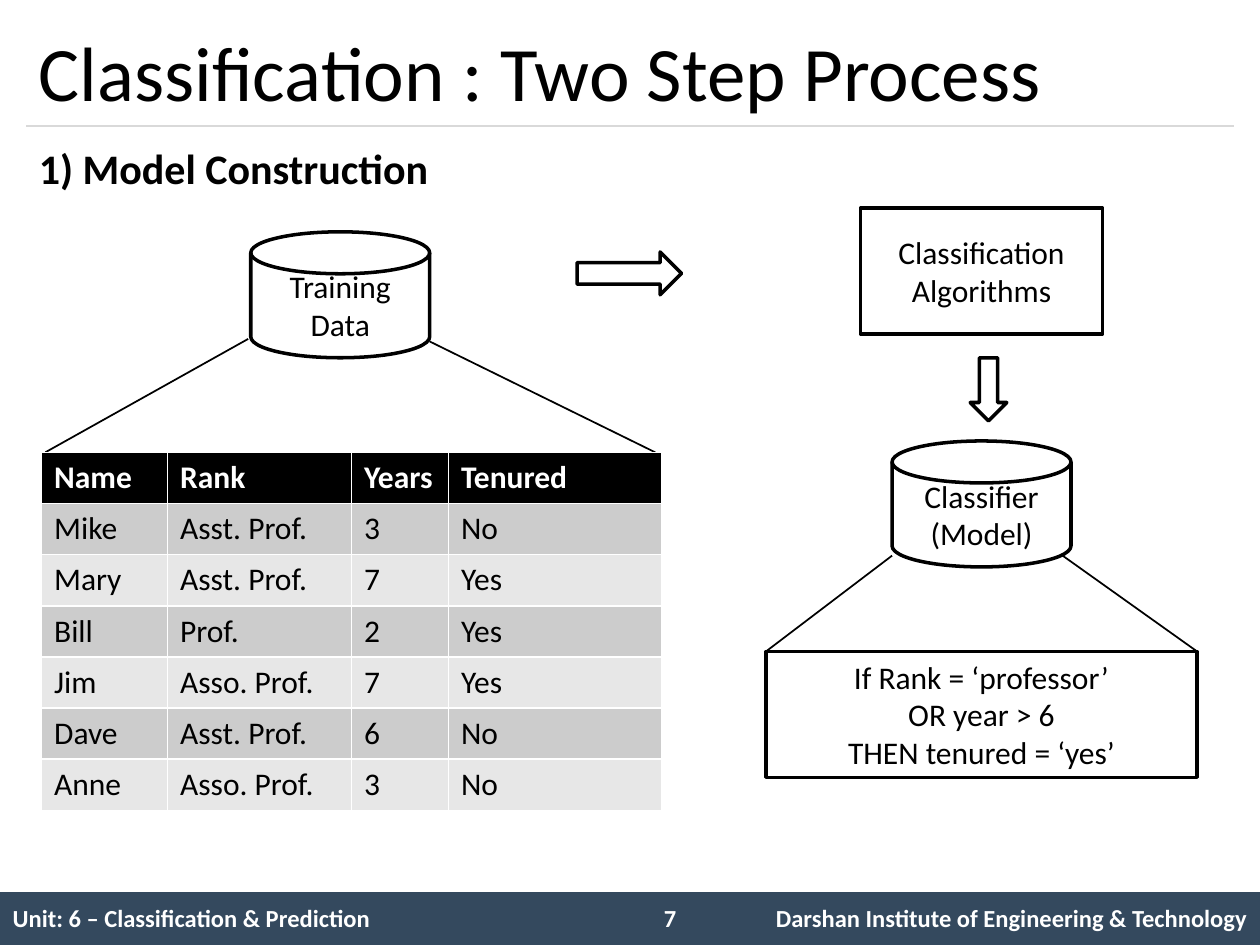
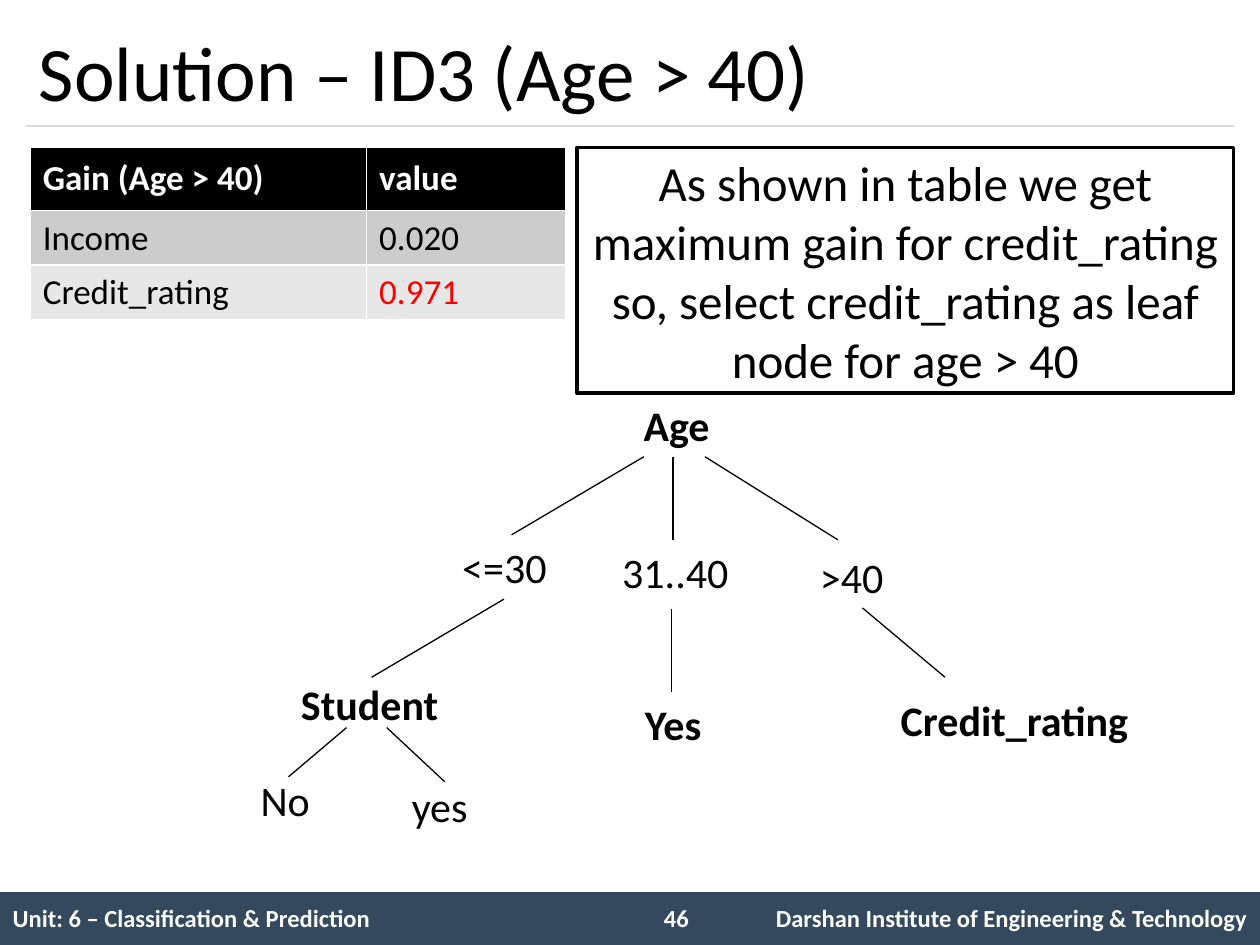
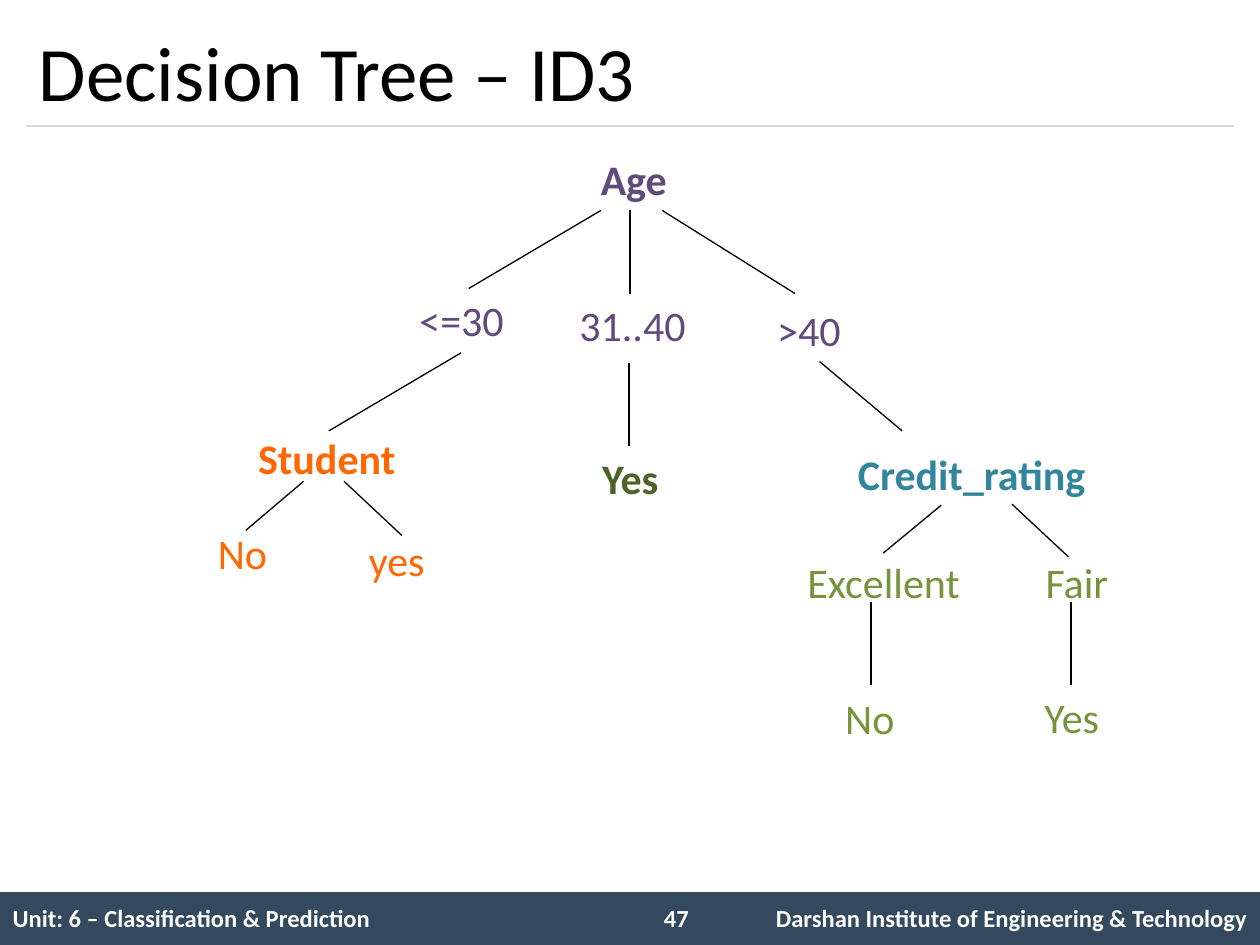
from lxml.etree import SubElement
from pptx import Presentation
from pptx.dml.color import RGBColor
from pptx.enum.shapes import MSO_CONNECTOR, MSO_SHAPE
from pptx.enum.text import MSO_ANCHOR, MSO_AUTO_SIZE, PP_ALIGN
from pptx.oxml.ns import qn
from pptx.util import Inches, Pt

COLORS = {
    "ink": "000000", "paper": "FFFFFF", "band": "34495E", "rule": "D9D9D9",
    "dark row": "CCCCCC", "light row": "E7E7E7", "best": "FF0000",
    "age": "604A7B", "student": "FF6702", "middle": "4F6228",
    "credit": "31859C", "rating": "77933C",
}
RGB = {part: RGBColor.from_string(value) for part, value in COLORS.items()}
NO_GRID_STYLE = "{2D5ABB26-0587-4C30-8999-92F81FD0307C}"

deck = Presentation()
deck.slide_width, deck.slide_height = Inches(10), Inches(7.5)
# The slide is a grid of 100 columns by 75 rows.
COL, ROW = deck.slide_width // 100, deck.slide_height // 75


def place(*cells):
    """Turn columns and rows, taken in turn, into slide lengths."""
    return [round(cell * (COL, ROW)[i % 2]) for i, cell in enumerate(cells)]


def write(frame, text, color="ink", align=PP_ALIGN.LEFT, size=18, bold=False, **frame_format):
    frame.text = text
    for attribute, value in {"word_wrap": True, **frame_format}.items():
        setattr(frame, attribute, value)
    for paragraph in frame.paragraphs:
        paragraph.alignment = align
        for attribute, value in {"name": "Calibri", "size": Pt(size), "bold": bold}.items():
            setattr(paragraph.font, attribute, value)
        paragraph.font.color.rgb = RGB[color]


blank = deck.slide_layouts[6]
titles = {7: "Classification : Two Step Process",
          46: "Solution – ID3 (Age > 40)",
          47: "Decision Tree – ID3"}
process, solution, decision = [deck.slides.add_slide(blank) for _ in titles]

lines = []   # slide, start, end, weight, color; an end is a point or a shape
tables = []  # slide, left and top, columns, rows, size, anchor, texts

# Title, rule and footer of every slide
for slide, (number, title) in zip(deck.slides, titles.items()):
    band = slide.shapes.add_shape(MSO_SHAPE.RECTANGLE, *place(0, 70.8, 100, 4.2))
    band.shadow.inherit = False
    band.fill.solid()
    band.fill.fore_color.rgb = RGB["band"]
    band.line.fill.background()
    lines.append((slide, (2.1, 10), (97.9, 10), 0.75, "rule"))
    tables.append((slide, (0, 70.8), (50.8, 6.7, 42.5), (4.3,), 14, MSO_ANCHOR.MIDDLE,
                   [("Unit: 6 – Classification & Prediction", "",
                     "Darshan Institute of Engineering & Technology")]))
    heading = slide.shapes.add_textbox(*place(2.1, 1.2, 95.8, 8.8))
    write(heading.text_frame, title, size=44, vertical_anchor=MSO_ANCHOR.MIDDLE)
    page = slide.shapes.add_textbox(*place(51.7, 71.2, 5.8, 3.4))
    write(page.text_frame, str(number), "paper", size=14, bold=True)

# Model construction
step = process.shapes.add_textbox(*place(2.1, 10.8, 95.8, 58.3))
step.text_frame.text = "1) Model Construction"
step_paragraph = step.text_frame.paragraphs[0]
properties = step_paragraph._p.get_or_add_pPr()
properties.set("marL", str(Inches(0.38)))
properties.set("indent", str(-Inches(0.38)))
SubElement(properties, qn("a:buFont"), typeface="Wingdings")
SubElement(properties, qn("a:buChar"), char="§")
write(step.text_frame, "1) Model Construction", size=24, bold=True)
step_paragraph.line_spacing = 1.14

figures = [
    (process, MSO_SHAPE.FLOWCHART_MAGNETIC_DISK, (19.9, 18.4, 14.2, 10), 18, "Training\nData"),
    (process, MSO_SHAPE.FLOWCHART_MAGNETIC_DISK, (70.8, 35, 14.2, 10), 18, "Classifier\n(Model)"),
    (process, MSO_SHAPE.RECTANGLE, (60.8, 51.7, 34.2, 10), 18,
     "If Rank = ‘professor’\nOR year > 6\nTHEN tenured = ‘yes’"),
    (process, MSO_SHAPE.RECTANGLE, (68.3, 16.5, 19.2, 10), 18, "Classification\nAlgorithms"),
    (process, MSO_SHAPE.RIGHT_ARROW, (45.8, 20, 8.3, 3.4), 18, ""),
    (process, MSO_SHAPE.DOWN_ARROW, (77, 28.4, 2.9, 5), 18, ""),
    (solution, MSO_SHAPE.RECTANGLE, (45.8, 11.7, 52.1, 19.5), 28,
     "As shown in table we get maximum gain for credit_rating so, "
     "select credit_rating as leaf node for age > 40"),
]
for slide, outline, area, size, text in figures:
    figure = slide.shapes.add_shape(outline, *place(*area))
    figure.shadow.inherit = False
    figure.fill.solid()
    figure.fill.fore_color.rgb = RGB["paper"]
    figure.line.color.rgb = RGB["ink"]
    figure.line.width = Pt(2)
    if text:
        write(figure.text_frame, text, align=PP_ALIGN.CENTER, size=size,
              vertical_anchor=MSO_ANCHOR.MIDDLE)

for start, end in [((34.1, 27.1), (52, 35.9)), ((19.7, 26.9), (3.6, 35.9)),
                   ((84.2, 44), (95, 51.7)), ((70.8, 44.1), (60.8, 51.7))]:
    lines.append((process, start, end, 1, "ink"))

tables += [
    (process, (3.3, 35.9), (10, 14.6, 7.7, 16.9), (4.06,) * 7, 18, MSO_ANCHOR.TOP,
     [("Name", "Rank", "Years", "Tenured"),
      ("Mike", "Asst. Prof.", "3", "No"),
      ("Mary", "Asst. Prof.", "7", "Yes"),
      ("Bill", "Prof.", "2", "Yes"),
      ("Jim", "Asso. Prof.", "7", "Yes"),
      ("Dave", "Asst. Prof.", "6", "No"),
      ("Anne", "Asso. Prof.", "3", "No")]),
    (solution, (2.4, 11.7), (26.7, 15.8), (5, 4.1, 4.1), 20, MSO_ANCHOR.MIDDLE,
     [("Gain (Age > 40)", "value"), ("Income", "0.020"), ("Credit_rating", "0.971")]),
]

# Decision tree: label, left, top, width, color, bold
tree_nodes = [
    ("Age", 46.7, 11.7, 11.7, "age", True),
    ("<=30", 32.3, 22.9, 9.8, "age", False),
    ("31..40", 45, 23.3, 11.7, "age", False),
    (">40", 60.7, 23.7, 8.7, "age", False),
    ("Student", 19.5, 33.8, 13.1, "student", True),
    ("No", 16.3, 41.4, 9.8, "student", False),
    ("yes", 28.3, 41.9, 11.7, "student", False),
    ("Yes", 46.8, 35.4, 9.8, "middle", True),
    ("Credit_rating", 67.1, 35.1, 21.2, "credit", True),
]
rating_nodes = [
    ("Excellent", 63.1, 43.7, 16.3, "rating", False),
    ("Fair", 82, 43.7, 11, "rating", False),
    ("No", 66.1, 54.5, 9.8, "rating", False),
    ("Yes", 81.9, 54.4, 9.8, "rating", False),
]
# A label stands for the middle of that node's bottom (start) or top (end).
tree_branches = [
    ((47.7, 16.7), "<=30"), ("Age", (63.1, 23.3)), ((50, 16.7), (50, 23.3)),
    ((36.6, 28), (26.1, 34.2)), ((24.1, 38.2), (19.5, 42.1)), ((27.3, 38.2), (31.9, 42.5)),
    ((49.9, 28.8), (49.9, 35.4)), (">40", (71.6, 34.2)),
]
rating_branches = [
    ((74.7, 40.1), (70.1, 43.9)), ((80.3, 40), (84.8, 44.2)),
    ((69.1, 47.8), (69.1, 54.4)), ((85, 47.8), (85, 54.4)),
]
trees = [(solution, 3.4, 19.55, tree_nodes, tree_branches),
         (decision, 0, 0, tree_nodes + rating_nodes, tree_branches + rating_branches)]
for slide, right, down, nodes, branches in trees:
    node_boxes = {}
    for label, left, top, width, color, bold in nodes:
        node = slide.shapes.add_textbox(*place(left + right, top + down, width, 5))
        write(node.text_frame, label, color if slide is decision else "ink", size=24,
              bold=bold, auto_size=MSO_AUTO_SIZE.SHAPE_TO_FIT_TEXT)
        node_boxes[label] = node
    for branch in branches:
        start, end = [node_boxes[tip] if isinstance(tip, str) else (tip[0] + right, tip[1] + down)
                      for tip in branch]
        upright = isinstance(start, tuple) and isinstance(end, tuple) and start[0] == end[0]
        lines.append((slide, start, end, 1 if upright else 0.75, "ink"))

for slide, start, end, weight, color in lines:
    start_point = place(*start) if isinstance(start, tuple) else (0, 0)
    end_point = place(*end) if isinstance(end, tuple) else (0, 0)
    line = slide.shapes.add_connector(MSO_CONNECTOR.STRAIGHT, *start_point, *end_point)
    if not isinstance(start, tuple):
        line.begin_connect(start, 2)
    if not isinstance(end, tuple):
        line.end_connect(end, 0)
    line.line.color.rgb = RGB[color]
    line.line.width = Pt(weight)
    SubElement(line._element.spPr, qn("a:effectLst"))

for slide, corner, columns, heights, size, anchor, rows in tables:
    is_footer = len(rows) == 1
    area = place(*corner, sum(columns), sum(heights))
    grid = slide.shapes.add_table(len(rows), len(columns), *area).table
    if is_footer:
        grid._tbl.tblPr.find(qn("a:tableStyleId")).text = NO_GRID_STYLE
    for column, width in zip(grid.columns, columns):
        column.width = round(width * COL)
    for r, (texts, height) in enumerate(zip(rows, heights)):
        grid.rows[r].height = round(height * ROW)
        for c, text in enumerate(texts):
            cell = grid.cell(r, c)
            cell.vertical_anchor = anchor
            if is_footer:
                cell.fill.background()
            else:
                cell.fill.solid()
                cell.fill.fore_color.rgb = RGB[
                    "ink" if r == 0 else "dark row" if r % 2 else "light row"]
            color = "paper" if r == 0 else "best" if text == "0.971" else "ink"
            align = PP_ALIGN.RIGHT if is_footer and c == 2 else PP_ALIGN.LEFT
            write(cell.text_frame, text, color, align, size, bold=r == 0)

deck.save("out.pptx")
